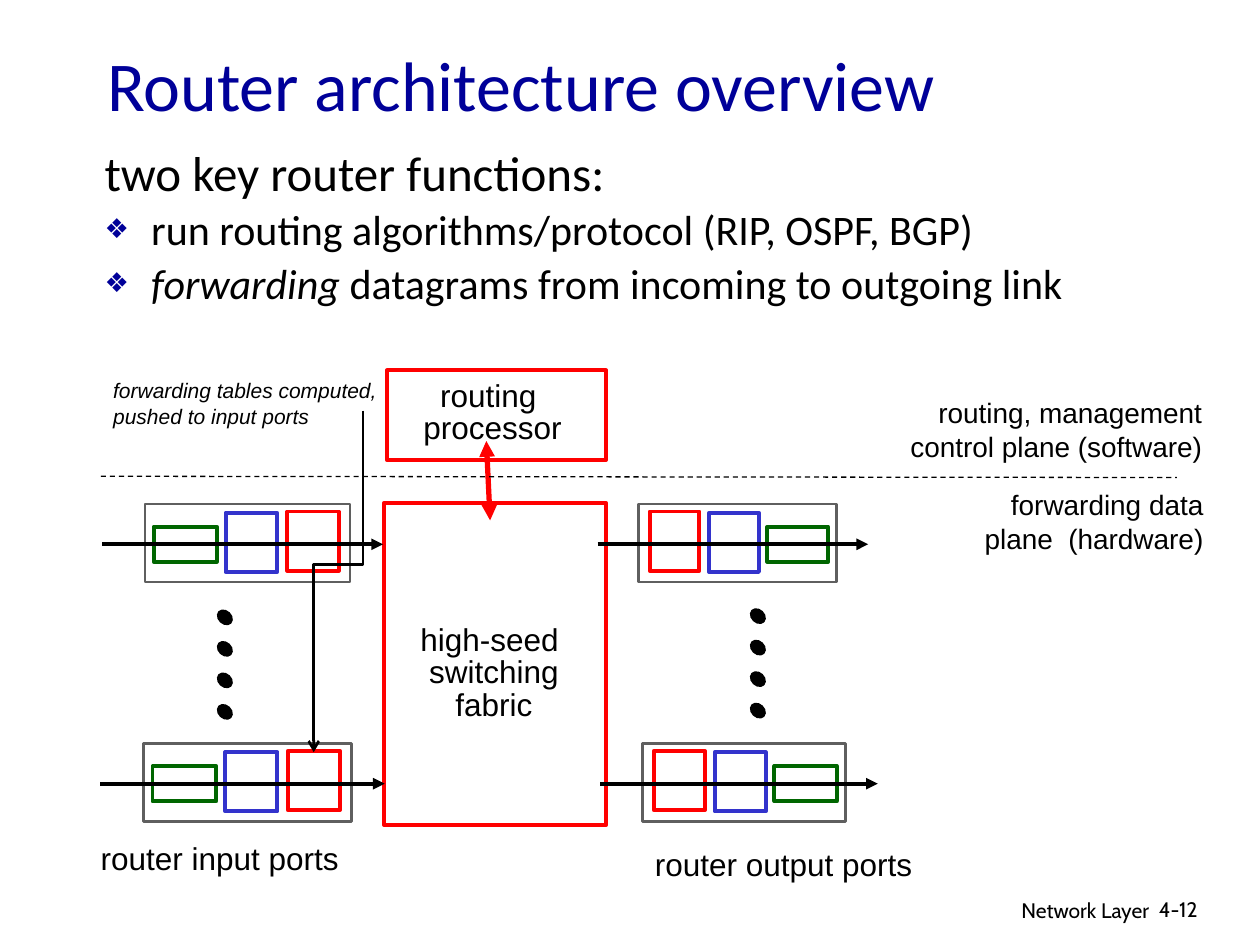
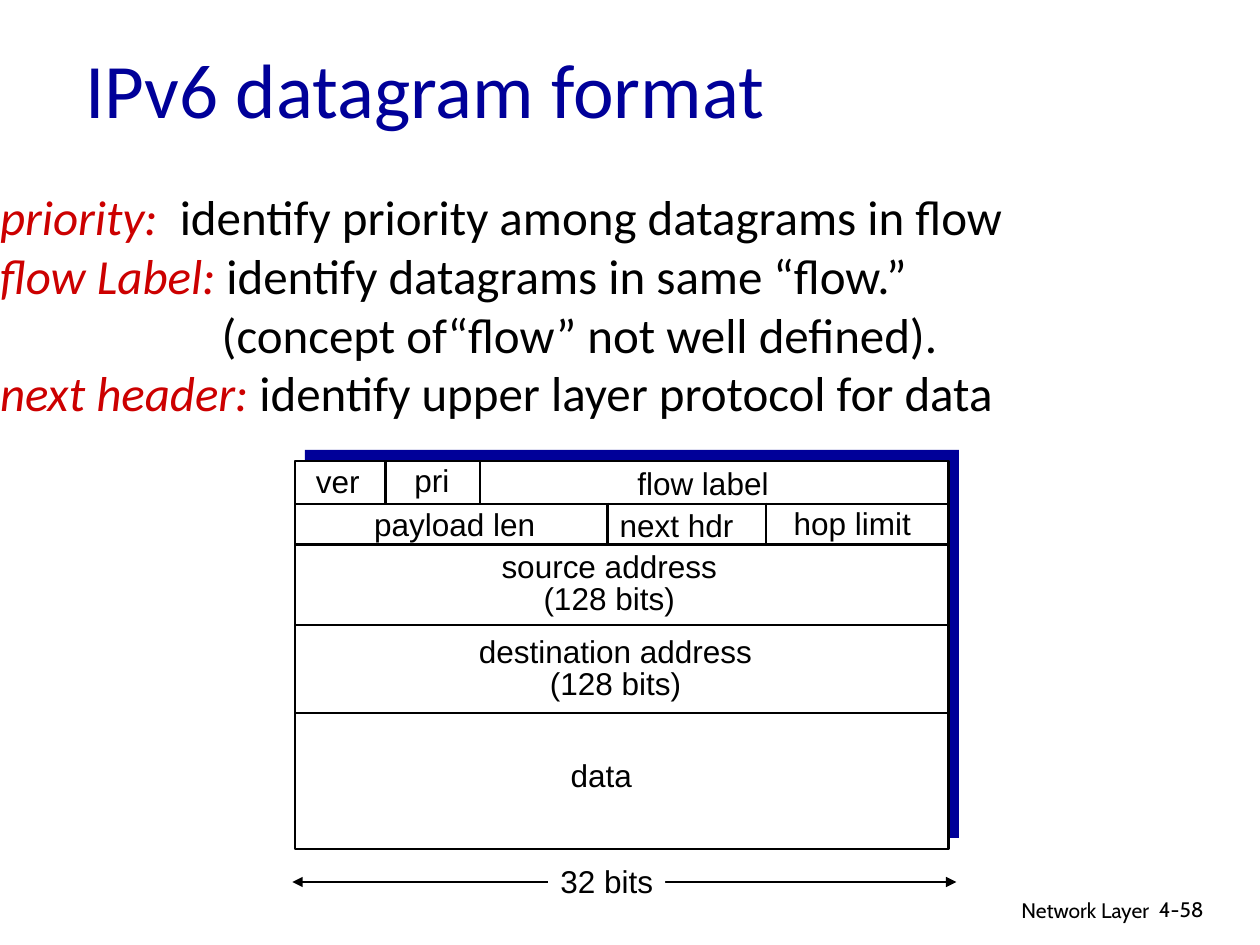
"""Build two network layer slides: router architecture and IPv6 datagram format."""
from lxml.etree import SubElement
from pptx import Presentation
from pptx.dml.color import RGBColor
from pptx.enum.dml import MSO_LINE
from pptx.enum.shapes import MSO_CONNECTOR as CONN, MSO_SHAPE as SHAPE
from pptx.enum.text import MSO_ANCHOR as ANCHOR, MSO_AUTO_SIZE as FIT, PP_ALIGN as ALIGN
from pptx.oxml.ns import qn
from pptx.util import Inches, Pt

NAVY = RGBColor(0x00, 0x00, 0x99)
BLACK = RGBColor(0x00, 0x00, 0x00)
WHITE = RGBColor(0xFF, 0xFF, 0xFF)
RED = RGBColor(0xFF, 0x00, 0x00)
DARK_RED = RGBColor(0xCC, 0x00, 0x00)
BLUE = RGBColor(0x33, 0x33, 0xCC)
GREEN = RGBColor(0x00, 0x66, 0x00)
GRAY = RGBColor(0x5F, 0x5F, 0x5F)
CENTERED = {"alignment": ALIGN.CENTER, "line_spacing": 0.85}


def write(sp, paras, size, name="Arial", color=BLACK, italic=False,
          wrap=False, anchor=ANCHOR.TOP, **layout):
    """Fill a shape with paragraphs, each a string or a list of (text, font values)."""
    tf = sp.text_frame
    for key, value in {"word_wrap": wrap, "auto_size": FIT.NONE, "vertical_anchor": anchor}.items():
        setattr(tf, key, value)
    for i, runs in enumerate(paras):
        p = tf.add_paragraph() if i else tf.paragraphs[0]
        for key, value in ({"alignment": ALIGN.LEFT} | layout).items():
            setattr(p, key, value)
        for text, values in [(runs, {})] if isinstance(runs, str) else runs:
            r = p.add_run()
            r.text = text
            fmt = {"name": name, "size": Pt(size), "italic": italic, "color": color} | values
            r.font.color.rgb = fmt.pop("color")
            for key, value in fmt.items():
                setattr(r.font, key, value)


def draw(s, kind, box, color=None, weight=1.5, fill=WHITE, head=None, tail=None):
    """Add a connector (from, to) or a preset shape (left, top, width, height)."""
    box = [Inches(v) for v in box]
    if isinstance(kind, CONN):
        sp = s.shapes.add_connector(kind, *box)
        SubElement(sp._element.spPr, qn("a:effectLst"))
    else:
        sp = s.shapes.add_shape(kind, *box)
        sp.shadow.inherit = False
        sp.fill.solid()
        sp.fill.fore_color.rgb = fill
    if color is None:
        sp.line.fill.background()
        return sp
    sp.line.color.rgb = color
    sp.line.width = Pt(weight)
    for tag, end in (("a:headEnd", head), ("a:tailEnd", tail)):
        if end:
            SubElement(sp.line._get_or_add_ln(), qn(tag), type=end)
    return sp


prs = Presentation()
prs.slide_width, prs.slide_height = Inches(10), Inches(7.5)

pages = [
    ("Router architecture overview", 40, (0.75, 0.33, 8.5, 0.67), (0.73, 1.15, 8.89, 1), "4-12"),
    ("IPv6 datagram format", 44, (0.58, 0.2, 8.5, 0.99), (-0.1, 1.43, 9.36, 1.97), "4-58"),
]
for title, size, title_box, body_box, number in pages:
    s = prs.slides.add_slide(prs.slide_layouts[1])
    for sp, box in zip(s.placeholders, (title_box, body_box)):
        sp.left, sp.top, sp.width, sp.height = [Inches(v) for v in box]
    write(s.shapes.title, [title], size, "Calibri", NAVY, wrap=True, anchor=ANCHOR.MIDDLE)
    for text, box, align in [("Network Layer", (6.05, 7.07, 3.17, 0.31), ALIGN.RIGHT),
                             (number, (9.1, 7.07, 0.74, 0.3), ALIGN.LEFT)]:
        sp = s.shapes.add_textbox(*[Inches(v) for v in box])
        write(sp, [text], 12, "Cabin", wrap=True, alignment=align)
router, datagram = prs.slides

s = router
body = s.placeholders[1]
write(body, [
    [("two key router functions:", {"size": Pt(28)})],
    "run routing algorithms/protocol (RIP, OSPF, BGP)",
    [("forwarding ", {"italic": True}), ("datagrams from incoming to outgoing link", {})],
], 24, "Calibri", wrap=True, line_spacing=0.85, space_before=Pt(6))
heading, *bullets = body.text_frame.paragraphs
heading.space_before = Pt(4.5)
for p in bullets:
    pPr = p._p.get_or_add_pPr()
    pPr.set("marL", str(Inches(0.37)))
    pPr.set("indent", str(-Inches(0.37)))
    SubElement(SubElement(pPr, qn("a:buClr")), qn("a:srgbClr"), val=str(NAVY))
    SubElement(pPr, qn("a:buSzPct"), val="65000")
    SubElement(pPr, qn("a:buChar"), char="❖")

draw(s, SHAPE.RECTANGLE, (3.05, 3.99, 1.76, 2.56), RED, 2.25)
draw(s, SHAPE.RECTANGLE, (3.07, 2.94, 1.74, 0.71), RED, 2.25)
draw(s, CONN.STRAIGHT, (3.86, 3.5, 3.89, 4.13), RED, 3, head="triangle", tail="triangle")

port_parts = [(0, 0, 1.63, 0.62, GRAY, 1.5), (0.07, 0.18, 0.5, 0.28, GREEN, 2.25),
              (0.64, 0.07, 0.41, 0.47, BLUE, 2.25), (1.13, 0.06, 0.41, 0.47, RED, 2.25)]
ports = [(1.15, 4, 1.63, False), (1.14, 5.9, 1.65, False),
         (5.07, 4, 1.57, True), (5.1, 5.9, 1.61, True)]
for x, y, width, mirrored in ports:
    scale = width / 1.63
    for dx, dy, w, h, color, weight in port_parts:
        left = 1.63 - dx - w if mirrored else dx
        draw(s, SHAPE.RECTANGLE, (x + left * scale, y + dy, w * scale, h), color, weight)
    draw(s, CONN.STRAIGHT, (x - 0.34 * scale, y + 0.32, x + 1.89 * scale, y + 0.32),
         BLACK, 2.25, tail="triangle")

for x, y in [(1.72, 4.85), (5.95, 4.84)]:
    for i in range(4):
        dot = draw(s, SHAPE.OVAL, (x, y + 0.25 * i, 0.13, 0.1), BLACK, 0.75, BLACK)
        dot.rotation = 44

divider = draw(s, CONN.STRAIGHT, (0.8, 3.78, 9.34, 3.79), BLACK, 0.75)
divider.line.dash_style = MSO_LINE.DASH

push = draw(s, CONN.ELBOW, (1.33, 4.42, 4.04, 4.81), BLACK, 1.5, tail="arrow")
push._element.spPr.find(qn("a:xfrm")).set("rot", str(90 * 60000))
geometry = push._element.spPr.find(qn("a:prstGeom"))
SubElement(geometry.find(qn("a:avLst")), qn("a:gd"), name="adj1", fmla="val 45100")

right = {"alignment": ALIGN.RIGHT, "wrap": True}
router_labels = [
    (["high-seed ", "switching", "fabric"], (3.24, 4.92, 1.36, 0.87), 18, CENTERED),
    (["routing ", "processor"], (3.26, 2.98, 1.3, 0.61), 18, CENTERED),
    (["router input ports"], (0.7, 6.61, 2.09, 0.4), 18, {}),
    (["router output ports"], (5.1, 6.66, 2.24, 0.4), 18, {}),
    (["forwarding data plane  (hardware)"], (7.53, 3.82, 2.12, 0.64), 16, right),
    (["routing, management", "control plane (software)"], (6.96, 3.09, 2.68, 0.64), 16, right),
    (["forwarding tables computed,", "pushed to input ports"], (0.8, 2.95, 2.29, 0.5), 12,
     {"italic": True}),
]

s = datagram
body = s.placeholders[1]
term = {"color": DARK_RED, "italic": True}
write(body, [
    [("priority:", term), ("  identify priority among datagrams in flow", {})],
    [("flow Label:", term), (" identify datagrams in same “flow.”", {})],
    "(concept of“flow” not well defined).",
    [("next header:", term), (" identify upper layer protocol for data", {})],
], 28, "Calibri", wrap=True, space_before=Pt(0))
for p, margin in zip(body.text_frame.paragraphs, (0, 0, 1.76, 0)):
    p._p.get_or_add_pPr().set("marL", str(Inches(margin)))
for p in [heading, *body.text_frame.paragraphs]:
    pPr = p._p.get_or_add_pPr()
    pPr.set("indent", "0")
    pPr.set("marL", pPr.get("marL", "0"))
    SubElement(pPr, qn("a:buNone"))

draw(s, SHAPE.RECTANGLE, (2.42, 3.57, 5.19, 3.08), fill=NAVY)
draw(s, SHAPE.RECTANGLE, (2.34, 3.66, 5.19, 3.08), BLACK)
for y in (4, 4.32, 4.96, 5.66):
    draw(s, CONN.STRAIGHT, (2.34, y, 7.53, y), BLACK)
for x, y in [(3.06, 3.66), (3.81, 3.66), (4.82, 3.99), (6.08, 3.99)]:
    draw(s, CONN.STRAIGHT, (x, y, x, y + 0.33), BLACK)

datagram_labels = [
    (["data"], (4.43, 5.95, 0.68, 0.4), 18, {}),
    (["destination address", "(128 bits)"], (3.7, 5.01, 2.37, 0.61), 18, CENTERED),
    (["source address", "(128 bits)"], (3.88, 4.34, 1.91, 0.61), 18, CENTERED),
    (["payload len"], (2.87, 3.96, 1.48, 0.4), 18, {}),
    (["next hdr"], (4.82, 3.97, 1.1, 0.4), 18, {}),
    (["hop limit"], (6.2, 3.95, 1.13, 0.4), 18, {}),
    (["flow label"], (4.96, 3.63, 1.24, 0.4), 18, {}),
    (["pri"], (3.19, 3.61, 0.48, 0.4), 18, {}),
    (["ver"], (2.41, 3.62, 0.54, 0.4), 18, {}),
]
for s, labels in [(router, router_labels), (datagram, datagram_labels)]:
    for lines, box, size, style in labels:
        write(s.shapes.add_textbox(*[Inches(v) for v in box]), lines, size, **style)

draw(datagram, CONN.STRAIGHT, (2.32, 7, 7.59, 7), BLACK, 0.75, head="triangle", tail="triangle")
write(draw(datagram, SHAPE.RECTANGLE, (4.35, 6.79, 0.93, 0.4)), ["32 bits"], 18)

prs.save("out.pptx")
